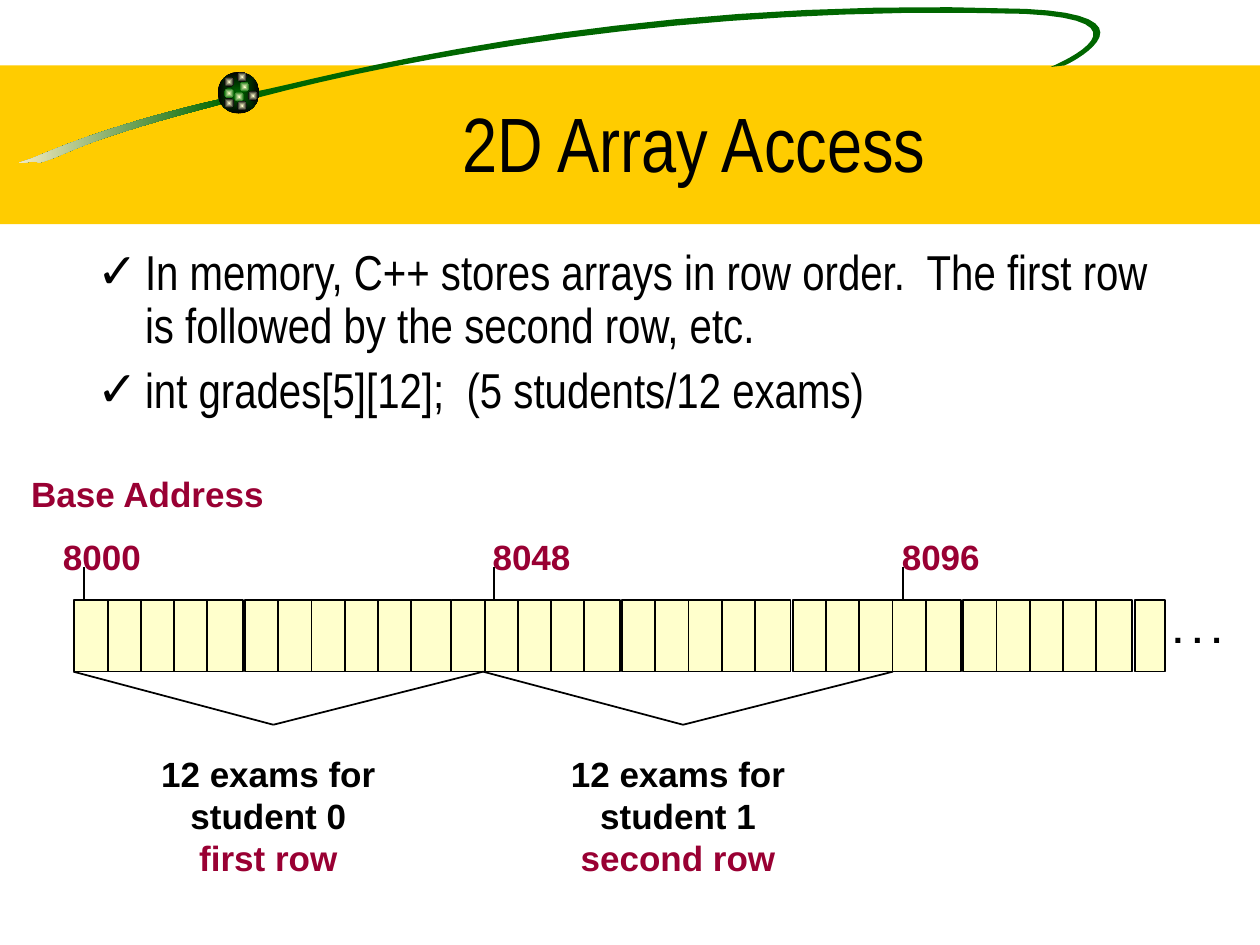
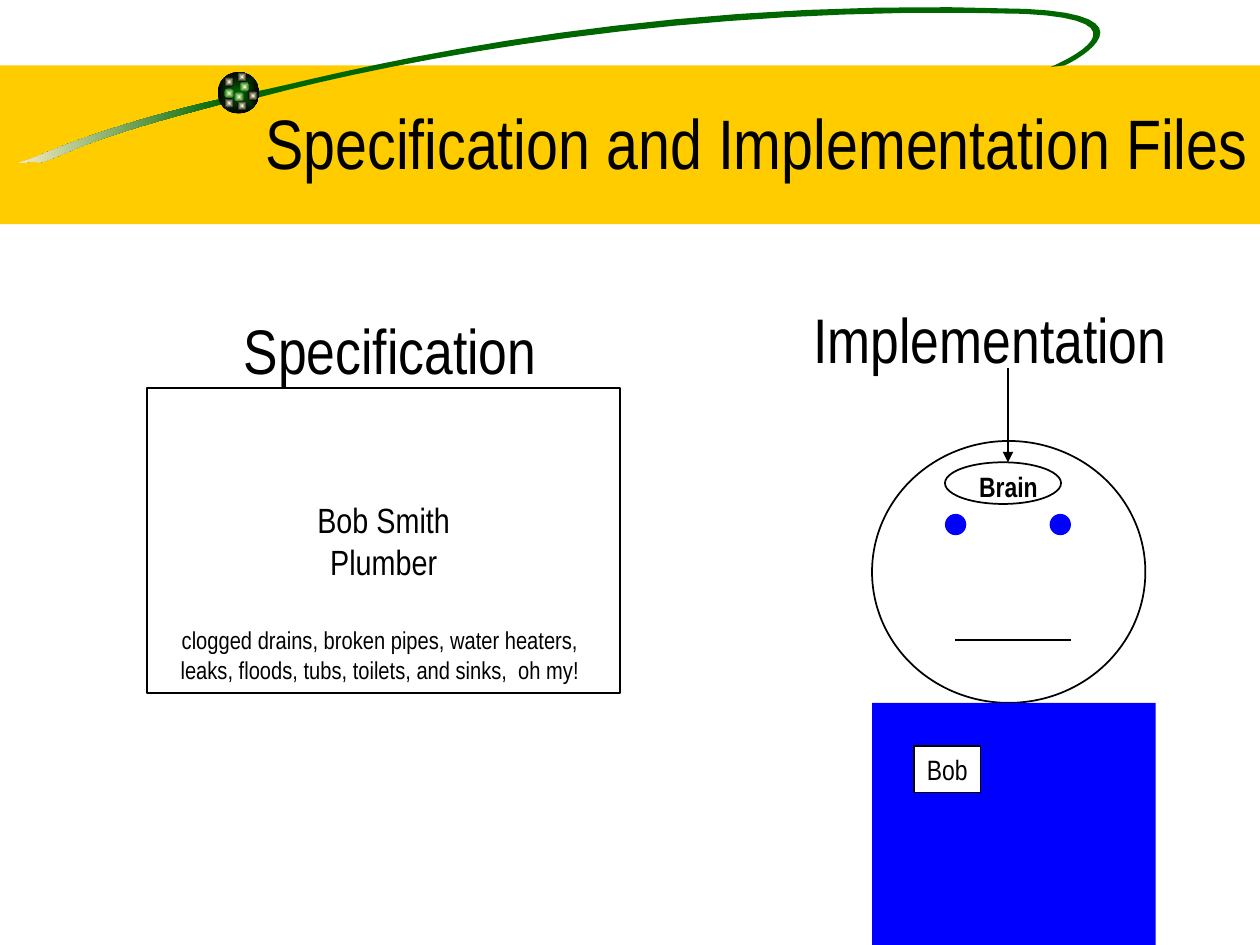
from dataclasses import dataclass

from lxml import etree
from pptx import Presentation
from pptx.dml.color import RGBColor
from pptx.enum.shapes import MSO_CONNECTOR, MSO_SHAPE
from pptx.enum.text import MSO_ANCHOR, MSO_AUTO_SIZE, PP_ALIGN
from pptx.oxml.ns import qn
from pptx.util import Cm, Pt

RECT, OVAL = MSO_SHAPE.RECTANGLE, MSO_SHAPE.OVAL
STRAIGHT = MSO_CONNECTOR.STRAIGHT
LEFT, CENTER = PP_ALIGN.LEFT, PP_ALIGN.CENTER
TOP, MIDDLE, BOTTOM = MSO_ANCHOR.TOP, MSO_ANCHOR.MIDDLE, MSO_ANCHOR.BOTTOM
NO_FIT, GROW = MSO_AUTO_SIZE.NONE, MSO_AUTO_SIZE.SHAPE_TO_FIT_TEXT
TITLE_AND_BODY, TITLE_ONLY = 1, 5


@dataclass(frozen=True)
class Theme:
    black: str = "000000"
    white: str = "FFFFFF"
    band: str = "FFCC00"
    green: str = "006600"
    sand: str = "F5EBC1"
    cream: str = "FFFFCC"
    crimson: str = "990033"
    blue: str = "0000FF"
    narrow: str = "Arial Narrow"
    plain: str = "Arial"
    title: int = 44
    long_title: int = 40
    heading: int = 36
    body: int = 28
    label: int = 20
    tag: int = 16
    small: int = 14
    line: int = 1


THEME = Theme()

# Each outline is a start point and cubic curves (two controls, end), in cm.
TAIL = ((4.52, 1.98), [
    ((2.31, 2.49), (1.24, 2.95), (0.64, 3.2)),
    ((0.03, 3.4), (0.66, 3.2), (0.79, 3.28)),
    ((1.45, 3.1), (1.45, 2.87), (4.55, 2.08)),
])
LOOP = ((5.13, 1.85), [
    ((6.25, 1.65), (12.34, -0.13), (20.68, 0.18)),
    ((23.29, 0.3), (21.77, 1.19), (21.46, 1.32)),
    ((21.46, 1.32), (21.18, 1.35), (21.18, 1.35)),
    ((21.44, 1.24), (23.27, 0.41), (20.65, 0.28)),
    ((13.92, 0.08), (8.13, 1.19), (5.23, 1.96)),
])
GLINTS = [
    (4.83, 1.65, THEME.green), (4.52, 1.55, THEME.black),
    (4.52, 1.78, THEME.green), (4.72, 1.85, THEME.green),
    (5.0, 1.83, THEME.black), (4.78, 2.03, THEME.black),
    (4.52, 1.98, THEME.black), (4.78, 1.45, THEME.black),
]

ARRAY_TOP, ARRAY_BOTTOM = 12.09, 13.54
CELL, CELLS_PER_BLOCK, BLOCK_PITCH = 0.67, 5, 3.44
ROW_PITCH = 8.26


def rgb(colour):
    return RGBColor.from_string(colour)


def finish(shape, fill=None, line=None):
    shape.shadow.inherit = False
    if fill:
        shape.fill.solid()
        shape.fill.fore_color.rgb = rgb(fill)
    else:
        shape.fill.background()
    if line:
        shape.line.color.rgb = rgb(line)
        shape.line.width = Pt(THEME.line)
    else:
        shape.line.fill.background()
    return shape


def add_shape(slide, kind, left, top, width, height, fill=None, line=None):
    shape = slide.shapes.add_shape(
        kind, Cm(left), Cm(top), Cm(width), Cm(height))
    return finish(shape, fill, line)


def add_line(slide, start, end, arrow=False):
    line = slide.shapes.add_connector(
        STRAIGHT, *(Cm(value) for value in (*start, *end)))
    line.line.color.rgb = rgb(THEME.black)
    line.line.width = Pt(THEME.line)
    if arrow:
        etree.SubElement(line.line._get_or_add_ln(), qn("a:tailEnd"),
                         type="triangle")
    etree.SubElement(line._element.spPr, qn("a:effectLst"))


def write(frame, paragraphs, size, font=THEME.narrow, colour=THEME.black,
          bold=False, align=CENTER, anchor=MIDDLE, wrap=False, fit=NO_FIT):
    """Fill a frame; a paragraph is a string or a list of (text, colour)."""
    frame.word_wrap = wrap
    frame.auto_size = fit
    frame.vertical_anchor = anchor
    for index, content in enumerate(paragraphs):
        paragraph = frame.add_paragraph() if index else frame.paragraphs[0]
        paragraph.alignment = align
        paragraph.font.name = font
        paragraph.font.size = Pt(size)
        paragraph.font.bold = bold
        if isinstance(content, str):
            paragraph.font.color.rgb = rgb(colour)
            paragraph.add_run().text = content
            continue
        for text, run_colour in content:
            run = paragraph.add_run()
            run.text = text
            run.font.color.rgb = rgb(run_colour)


def add_text(slide, left, top, width, height, paragraphs, size, **style):
    box = slide.shapes.add_textbox(
        Cm(left), Cm(top), Cm(width), Cm(height))
    write(box.text_frame, paragraphs, size, fit=GROW, **style)


def place(placeholder, left, top, width, height):
    placeholder.left, placeholder.top = Cm(left), Cm(top)
    placeholder.width, placeholder.height = Cm(width), Cm(height)


def set_title(slide, text, left, size):
    place(slide.shapes.title, left, 1.27, 21.59, 3.18)
    write(slide.shapes.title.text_frame, [text], size, wrap=True)


def set_checklist(slide, items):
    body = slide.placeholders[1]
    place(body, 1.7, 4.88, 22.43, 4.01)
    write(body.text_frame, items, THEME.body, align=LEFT, anchor=TOP,
          wrap=True)
    for paragraph in body.text_frame.paragraphs:
        paragraph.line_spacing = 0.9
        paragraph.space_before = Pt(7)
        properties = paragraph._p.get_or_add_pPr()
        properties.set("marL", str(Cm(0.97)))
        properties.set("indent", str(-Cm(0.97)))
        bullet = etree.Element(qn("a:buChar"), char="✓")
        properties.find(qn("a:defRPr")).addprevious(bullet)


def set_gradient(shape, first, last, centred=False):
    """Blend from first to last, leftwards or outwards from the centre."""
    shape.fill.gradient()
    shape.fill.gradient_angle = 180
    for stop, colour, position in zip(
            shape.fill.gradient_stops, (first, last), (0, 1)):
        stop.color.rgb = rgb(colour)
        stop.position = position
    if centred:
        gradient = shape._element.spPr.find(qn("a:gradFill"))
        gradient.remove(gradient.find(qn("a:lin")))
        blend = etree.SubElement(gradient, qn("a:path"), path="rect")
        etree.SubElement(blend, qn("a:fillToRect"),
                         dict.fromkeys("ltrb", "50000"))


def curve_points(start, curves, steps=16):
    for control_1, control_2, end in curves:
        for step in range(1, steps + 1):
            t = step / steps
            weights = ((1 - t) ** 3, 3 * t * (1 - t) ** 2,
                       3 * t ** 2 * (1 - t), t ** 3)
            anchors = (start, control_1, control_2, end)
            yield tuple(
                Cm(sum(w * point[axis] for w, point in zip(weights, anchors)))
                for axis in (0, 1))
        start = end


def add_ribbon(slide, start, curves, fill):
    builder = slide.shapes.build_freeform(Cm(start[0]), Cm(start[1]))
    builder.add_line_segments(curve_points(start, curves), close=True)
    return finish(builder.convert_to_shape(), fill)


def add_glowing_ball(slide, left, top, size, inner, outer):
    ball = add_shape(slide, OVAL, left, top, size, size)
    set_gradient(ball, inner, outer, centred=True)


def build_master_band(slide, master):
    """Draw the shared header, then move it behind the master's text."""
    decoration_start = len(slide.shapes)
    add_shape(slide, RECT, 0, 1.32, 25.4, 3.2, THEME.band)
    set_gradient(add_ribbon(slide, *TAIL, THEME.green),
                 THEME.green, THEME.sand)
    add_ribbon(slide, *LOOP, THEME.green)
    add_glowing_ball(slide, 4.39, 1.45, 0.84, THEME.green, THEME.black)
    for left, top, rim in GLINTS:
        add_glowing_ball(slide, left, top, 0.2, THEME.cream, rim)
    for index, shape in enumerate(list(slide.shapes)[decoration_start:]):
        shape._element.nvSpPr.cNvPr.set("id", str(100 + index))
        master.shapes._spTree.insert(2 + index, shape._element)


def add_cells(slide, left, width, count=1):
    add_shape(slide, RECT, left, ARRAY_TOP, width, ARRAY_BOTTOM - ARRAY_TOP,
              THEME.cream, THEME.black)
    for index in range(1, count):
        x = left + index * CELL
        add_line(slide, (x, ARRAY_TOP), (x, ARRAY_BOTTOM))


def add_address(slide, text, left, tick):
    add_text(slide, left, 10.67, 2.08, 1.09, [text], THEME.label,
             font=THEME.plain, colour=THEME.crimson, bold=True, align=LEFT,
             anchor=TOP)
    add_line(slide, (tick, 11.43), (tick, 12.07))


def add_row_callout(slide, row, student, row_name):
    left = 1.48 + row * ROW_PITCH
    tip = (left + 4.03, 14.61)
    for x in (left, left + ROW_PITCH):
        add_line(slide, (x, ARRAY_BOTTOM), tip)
    add_text(slide, left + 1.49, 15.04, 4.88, 2.79,
             ["12 exams for",
              [(student + " ", THEME.black), (row_name, THEME.crimson)]],
             THEME.label, font=THEME.plain, bold=True, anchor=TOP, wrap=True)


def build_array_slide(slide):
    set_title(slide, "2D Array Access", 3.2, THEME.title)
    set_checklist(slide, [
        "In memory, C++ stores arrays in row order.  The first row is "
        "followed by the second row, etc.",
        "int grades[5][12];  (5 students/12 exams)",
    ])
    for text, left, tick in (("8000", 1.02, 1.7), ("8048", 9.68, 9.96),
                             ("8096", 17.93, 18.21)):
        add_address(slide, text, left, tick)
    label_style = dict(font=THEME.plain, bold=True, align=LEFT, anchor=TOP)
    add_text(slide, 0.38, 9.4, 5.23, 1.09, ["Base Address"], THEME.label,
             colour=THEME.crimson, **label_style)
    add_text(slide, 23.4, 12.14, 1.5, 1.09, [". . ."], THEME.label,
             **label_style)
    for first_left, blocks in ((1.5, 2), (9.1, 4)):
        for block in range(blocks):
            add_cells(slide, first_left + block * BLOCK_PITCH, 3.4,
                      CELLS_PER_BLOCK)
    add_cells(slide, 8.28, 0.82)
    add_cells(slide, 22.88, 0.6)
    add_row_callout(slide, 0, "student 0", "first row")
    add_row_callout(slide, 1, "student 1", "second row")


def add_business_card(slide):
    card = add_shape(slide, RECT, 2.97, 7.82, 9.53, 6.15,
                     THEME.white, THEME.black)
    write(card.text_frame, ["Bob Smith", "Plumber"], THEME.label)
    add_text(slide, 3.38, 12.47, 8.56, 1.45,
             ["clogged drains, broken pipes, water heaters,",
              "leaks, floods, tubs, toilets, and sinks,  oh my!"],
             THEME.small, anchor=BOTTOM)


def add_plumber(slide):
    add_shape(slide, OVAL, 17.58, 8.89, 5.51, 5.28, line=THEME.black)
    add_line(slide, (19.25, 12.9), (21.59, 12.9))
    for eye_left in (19.05, 21.16):
        add_shape(slide, OVAL, eye_left, 10.36, 0.43, 0.43, THEME.blue)
    add_shape(slide, OVAL, 19.05, 9.32, 2.34, 0.84, line=THEME.black)
    add_shape(slide, RECT, 17.58, 14.17, 5.72, 4.88, THEME.blue)
    name_tag = add_shape(slide, RECT, 18.42, 15.04, 1.35, 0.94,
                         THEME.white, THEME.black)
    write(name_tag.text_frame, ["Bob"], THEME.tag, anchor=BOTTOM, fit=GROW)
    add_line(slide, (20.32, 7.42), (20.32, 9.32), arrow=True)
    add_text(slide, 19.48, 9.32, 1.7, 0.94, ["Brain"], THEME.tag, bold=True,
             anchor=BOTTOM)


def build_files_slide(slide):
    set_title(slide, "Specification and Implementation Files", 4.45,
              THEME.long_title)
    add_business_card(slide)
    add_plumber(slide)
    for text, left, top, width in (("Specification", 4.65, 6.15, 6.43),
                                   ("Implementation", 16.13, 5.92, 7.65)):
        add_text(slide, left, top, width, 1.78, [text], THEME.heading,
                 anchor=BOTTOM)


def main():
    deck = Presentation()
    deck.slide_width, deck.slide_height = Cm(25.4), Cm(19.05)
    array_slide = deck.slides.add_slide(deck.slide_layouts[TITLE_AND_BODY])
    files_slide = deck.slides.add_slide(deck.slide_layouts[TITLE_ONLY])
    build_master_band(array_slide, deck.slide_master)
    build_array_slide(array_slide)
    build_files_slide(files_slide)
    deck.save("out.pptx")


if __name__ == "__main__":
    main()
